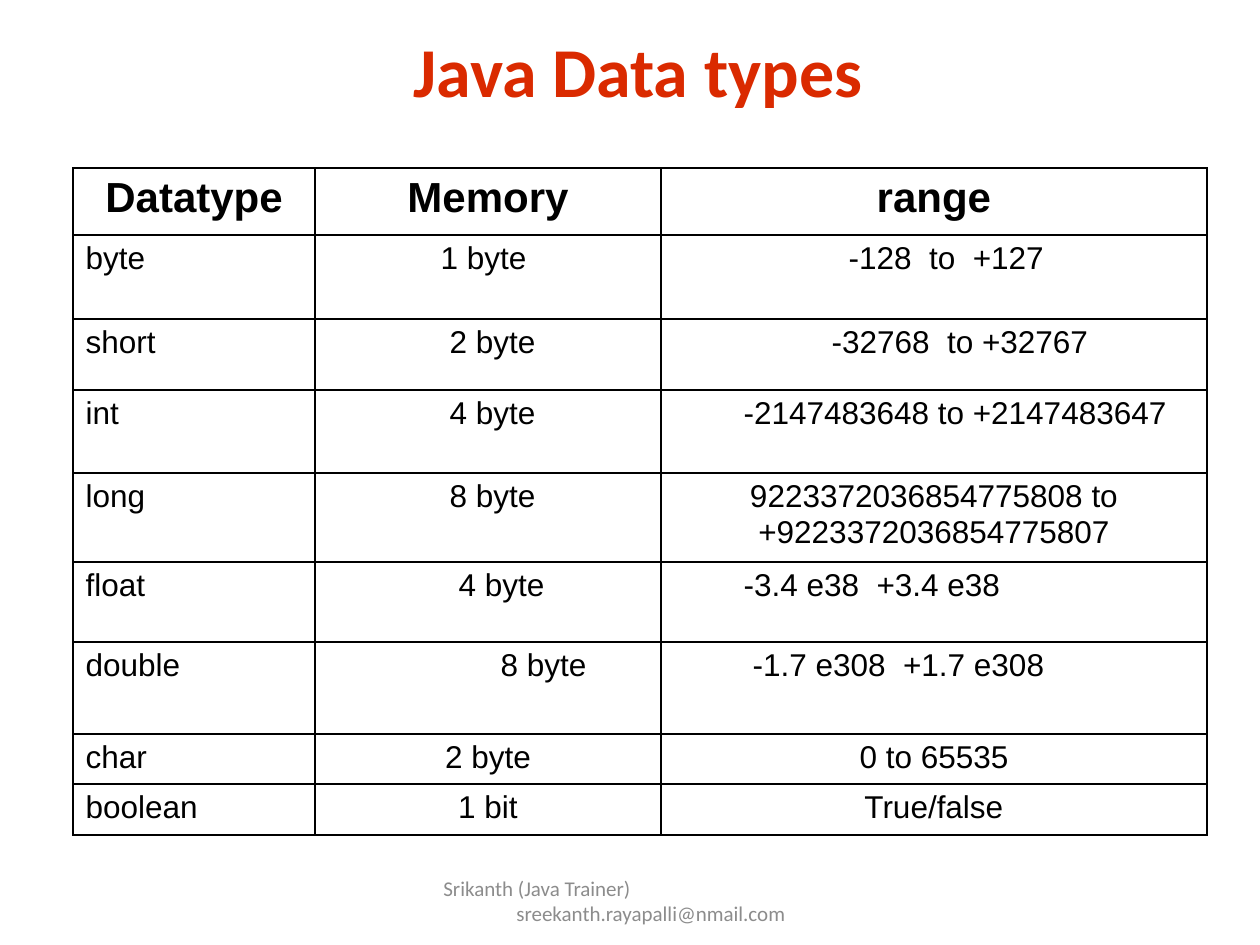
from lxml import etree
from pptx import Presentation, util as u
from pptx.dml.color import RGBColor
from pptx.enum import text
from pptx.oxml import ns

PIXEL = u.Inches(1) / 126
RED = RGBColor(0xDA, 0x2A, 0x00)
BLACK = RGBColor(0, 0, 0)
GRAY = RGBColor(0x8C, 0x8C, 0x8C)
LEFT, CENTER = text.PP_ALIGN.LEFT, text.PP_ALIGN.CENTER

COLUMN_WIDTHS = [242, 346, 546]
ROW_HEIGHTS = [67, 84, 71, 83, 89, 80, 92, 50, 51]
HEADINGS = ["Datatype", "Memory", "range"]
# Type, memory, memory indent, range lines, range indent; None means centred.
DATA_TYPES = [
    ("byte", "1 byte", 113, ["-128  to  +127"], 175),
    ("short", "2 byte", 122, ["-32768  to +32767"], 158),
    ("int", "4 byte", 122, ["-2147483648 to +2147483647"], 70),
    ("long", "8 byte", 122, ["9223372036854775808 to", "+9223372036854775807"], None),
    ("float", "4 byte", 131, ["-3.4 e38  +3.4 e38"], 70),
    ("double", "8 byte", 173, ["-1.7 e308  +1.7 e308"], 79),
    ("char", "2 byte", None, ["0 to 65535"], None),
    ("boolean", "1 bit", None, ["True/false"], None),
]


def px(length):
    """Turn picture pixels into EMU."""
    return u.Emu(round(length * PIXEL))


def add_run(paragraph, words, font, size, color, bold=False):
    """Add one formatted run to a paragraph."""
    run = paragraph.add_run()
    run.text = words
    run.font.name, run.font.size, run.font.bold = font, u.Pt(size), bold
    run.font.color.rgb = color


def set_indent(paragraph, margin, first_line=0):
    """Set the left margin and the first-line indent of a paragraph."""
    properties = paragraph._p.get_or_add_pPr()
    properties.set("marL", str(px(margin)))
    properties.set("indent", str(px(first_line)))


def add_title(slide, left, top, width, height):
    """Place and format the title placeholder."""
    title = slide.shapes.title
    title.left, title.top, title.width, title.height = map(px, (left, top, width, height))
    frame = title.text_frame
    frame.vertical_anchor = text.MSO_ANCHOR.TOP
    paragraph = frame.paragraphs[0]
    paragraph.alignment = CENTER
    add_run(paragraph, " Java Data types", "Calibri", 40, RED, True)


def add_borders(cell):
    """Draw a thin black line on every side of a cell."""
    properties = cell._tc.get_or_add_tcPr()
    for position, side in enumerate(("lnL", "lnR", "lnT", "lnB")):
        line = etree.Element(ns.qn(f"a:{side}"), w=str(u.Pt(1)))
        fill = etree.SubElement(line, ns.qn("a:solidFill"))
        etree.SubElement(fill, ns.qn("a:srgbClr"), val=str(BLACK))
        properties.insert(position, line)


def fill_cell(cell, lines, indent, size=18, bold=False):
    """Write lines into a cell, centred when there is no indent."""
    cell.fill.background()
    add_borders(cell)
    frame = cell.text_frame
    for number, words in enumerate(lines):
        paragraph = frame.add_paragraph() if number else frame.paragraphs[0]
        paragraph.alignment = CENTER if indent is None else LEFT
        set_indent(paragraph, indent or 0)
        add_run(paragraph, words, "Arial", size, BLACK, bold)


def add_type_table(slide, left, top):
    """Build the table of data types from its top left corner."""
    frame = slide.shapes.add_table(
        len(ROW_HEIGHTS), len(COLUMN_WIDTHS), px(left), px(top),
        px(sum(COLUMN_WIDTHS)), px(sum(ROW_HEIGHTS)))
    table = frame.table
    table.first_row = table.horz_banding = False
    for column, width in zip(table.columns, COLUMN_WIDTHS):
        column.width = px(width)
    for row, height in zip(table.rows, ROW_HEIGHTS):
        row.height = px(height)
    for column, heading in enumerate(HEADINGS):
        fill_cell(table.cell(0, column), [heading], None, 24, True)
    for row, (name, memory, memory_indent, limits, limits_indent) in enumerate(DATA_TYPES, 1):
        fill_cell(table.cell(row, 0), [name], 0)
        fill_cell(table.cell(row, 1), [memory], memory_indent)
        fill_cell(table.cell(row, 2), limits, limits_indent)


def add_footer(slide, left, top, width, height):
    """Add the trainer's name with the address hanging below it."""
    frame = slide.shapes.add_textbox(*map(px, (left, top, width, height))).text_frame
    frame.word_wrap = True
    frame.vertical_anchor = text.MSO_ANCHOR.MIDDLE
    paragraph = frame.paragraphs[0]
    paragraph.alignment = LEFT
    set_indent(paragraph, 73, -73)
    add_run(paragraph, "Srikanth (Java Trainer)", "Calibri", 12, GRAY)
    paragraph.add_line_break()
    add_run(paragraph, "sreekanth.rayapalli@nmail.com", "Calibri", 12, GRAY)


presentation = Presentation()
presentation.slide_width, presentation.slide_height = px(1260), px(945)
slide = presentation.slides.add_slide(presentation.slide_layouts[5])
add_title(slide, 63, 21, 1134, 158)
add_type_table(slide, 73, 168)
add_footer(slide, 431, 876, 399, 50)
presentation.save("out.pptx")
